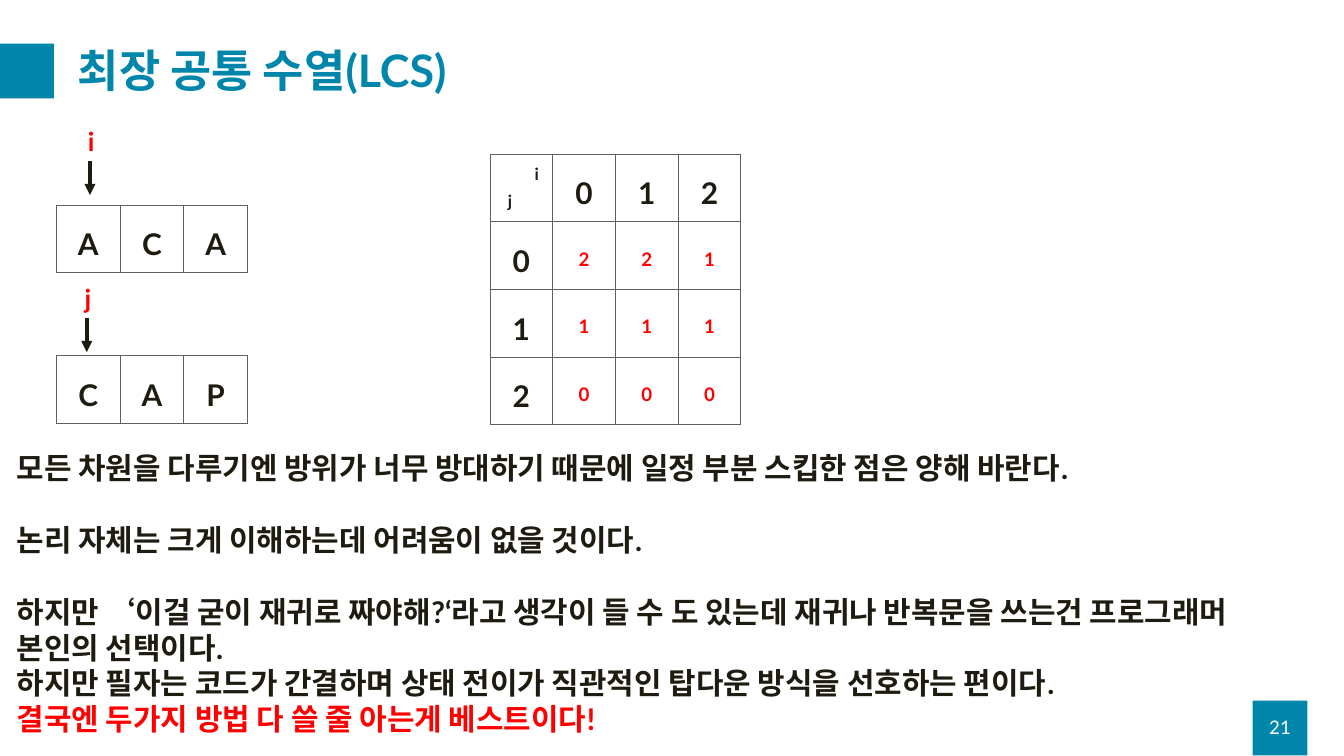
"""Build the slide on the longest common subsequence."""
from pptx import Presentation
from pptx.dml.color import RGBColor
from pptx.enum.shapes import MSO_CONNECTOR, MSO_SHAPE
from pptx.enum.text import MSO_ANCHOR, PP_ALIGN
from pptx.oxml import parse_xml
from pptx.oxml.ns import nsdecls
from pptx.util import Cm, Pt

LEFT, CENTER = PP_ALIGN.LEFT, PP_ALIGN.CENTER
TOP, MIDDLE = MSO_ANCHOR.TOP, MSO_ANCHOR.MIDDLE
RECT, STRAIGHT = MSO_SHAPE.RECTANGLE, MSO_CONNECTOR.STRAIGHT

HUES = {"teal": "0086AB", "ink": "1E1C11", "red": "FF0000",
        "white": "FFFFFF", "grid": "5F5F5F"}
FONT = "Lato"
TITLE = "최장 공통 수열(LCS)"
PAGE = "21"
GAP = 38.4
NOTES = [
    ("모든 차원을 다루기엔 방위가 너무 방대하기 때문에 일정 부분 스킵한 점은 양해 바란다.", "ink", 0),
    ("논리 자체는 크게 이해하는데 어려움이 없을 것이다.", "ink", GAP),
    ("하지만 ‘이걸 굳이 재귀로 짜야해?‘라고 생각이 들 수 도 있는데 "
     "재귀나 반복문을 쓰는건 프로그래머 본인의 선택이다.", "ink", GAP),
    ("하지만 필자는 코드가 간결하며 상태 전이가 직관적인 탑다운 방식을 선호하는 편이다.", "ink", 0),
    ("결국엔 두가지 방법 다 쓸 줄 아는게 베스트이다!", "red", 0),
]
WORDS = [(7.75, "ACA"), (13.44, "CAP")]
MARKS = [("i", 3.4, 6.07), ("j", 3.28, 12.01)]
COUNTS = [["", "0", "1", "2"],
          ["0", "2", "2", "1"],
          ["1", "1", "1", "1"],
          ["2", "0", "0", "0"]]
AXES = [("i", 19.96, 6.07), ("j", 18.95, 7.09)]
BLOCKS = [(47.35, 26.49), (-0.03, 1.65)]
SIDE = 2.07
ROW = 2.56

HEAD = {"size": Pt(32), "bold": True, "color": "ink"}
COUNT = {"size": Pt(20), "bold": True, "color": "red"}
MARK = {"size": Pt(28), "bold": True, "color": "red"}
AXIS = {"size": Pt(18), "bold": True, "color": "ink"}
NAME = {"size": Pt(48), "bold": True, "color": "teal"}
FOOT = {"size": Pt(20), "bold": False, "color": "white"}


def rgb(hue):
    return RGBColor.from_string(HUES[hue])


def style(para, text, look, align=LEFT, space=1.0):
    run = para.add_run()
    run.text = text
    for key, val in look.items():
        if key == "color":
            run.font.color.rgb = rgb(val)
        else:
            setattr(run.font, key, val)
    run.font.name = FONT
    para.alignment = align
    para.line_spacing = space


def add_text(slide, place, rows, align=LEFT, anchor=TOP):
    box = slide.shapes.add_textbox(*map(Cm, place))
    frame = box.text_frame
    frame.word_wrap = True
    frame.vertical_anchor = anchor
    for num, (text, look, gap) in enumerate(rows):
        para = frame.add_paragraph() if num else frame.paragraphs[0]
        style(para, text, look, align)
        if gap:
            para.space_before = Pt(gap)


def add_grid(slide, left, top, width, rows, pick):
    high = len(rows)
    wide = len(rows[0])
    table = slide.shapes.add_table(
        high, wide, Cm(left), Cm(top), Cm(width * wide), Cm(ROW * high)).table
    table.first_row = table.horz_banding = False
    for col in table.columns:
        col.width = Cm(width)
    for r, row in enumerate(rows):
        for c, text in enumerate(row):
            cell = table.cell(r, c)
            props = cell._tc.get_or_add_tcPr()
            for side in "LRTB":
                props.append(parse_xml(
                    f'<a:ln{side} {nsdecls("a")} w="12700"><a:solidFill>'
                    f'<a:srgbClr val="{HUES["grid"]}"/></a:solidFill></a:ln{side}>'))
            cell.fill.background()
            if text:
                look, space = pick(r, c)
                style(cell.text_frame.paragraphs[0], text, look, CENTER, space)


def add_arrow(slide, left, top):
    arrow = slide.shapes.add_connector(
        STRAIGHT, Cm(left), Cm(top), Cm(left), Cm(top + 1.3))
    arrow.line.color.rgb = rgb("ink")
    arrow.line.width = Pt(4)
    arrow.line._get_or_add_ln().append(
        parse_xml(f'<a:tailEnd {nsdecls("a")} type="triangle"/>'))
    arrow._element.spPr.append(parse_xml(f'<a:effectLst {nsdecls("a")}/>'))


def main():
    deck = Presentation()
    deck.slide_width, deck.slide_height = Cm(50.8), Cm(28.58)
    slide = deck.slides.add_slide(deck.slide_layouts[5])

    title = slide.shapes.title
    spot = {"left": 2.69, "top": 1.27, "width": 46.36, "height": 3}
    for key, val in spot.items():
        setattr(title, key, Cm(val))
    title.text_frame.vertical_anchor = MIDDLE
    style(title.text_frame.paragraphs[0], TITLE, NAME, space=0.9)

    for left, top in BLOCKS:
        block = slide.shapes.add_shape(RECT, Cm(left), Cm(top), Cm(SIDE), Cm(SIDE))
        block.shadow.inherit = False
        block.fill.solid()
        block.fill.fore_color.rgb = rgb("teal")
        block.line.fill.background()
    add_text(slide, (47.35, 26.72, SIDE, 1.52), [(PAGE, FOOT, 0)], CENTER, MIDDLE)

    rows = [(text, {**HEAD, "color": hue}, gap) for text, hue, gap in NOTES]
    add_text(slide, (0.38, 16.89, 48.67, 11.2), rows)

    for top, word in WORDS:
        add_grid(slide, 2.13, top, 2.41, [word], lambda r, c: (HEAD, 1.5))
    add_grid(slide, 18.52, 5.82, 2.37, COUNTS,
             lambda r, c: (COUNT, 2.0) if r and c else (HEAD, 1.5))

    for text, left, top in AXES:
        add_text(slide, (left, top, 2.69, 1.02), [(text, AXIS, 0)])
    for text, left, top in MARKS:
        add_arrow(slide, left, top)
        add_text(slide, (left - 0.33, top - 1.47, 2.69, 1.45), [(text, MARK, 0)])
    deck.save("out.pptx")


if __name__ == "__main__":
    main()
